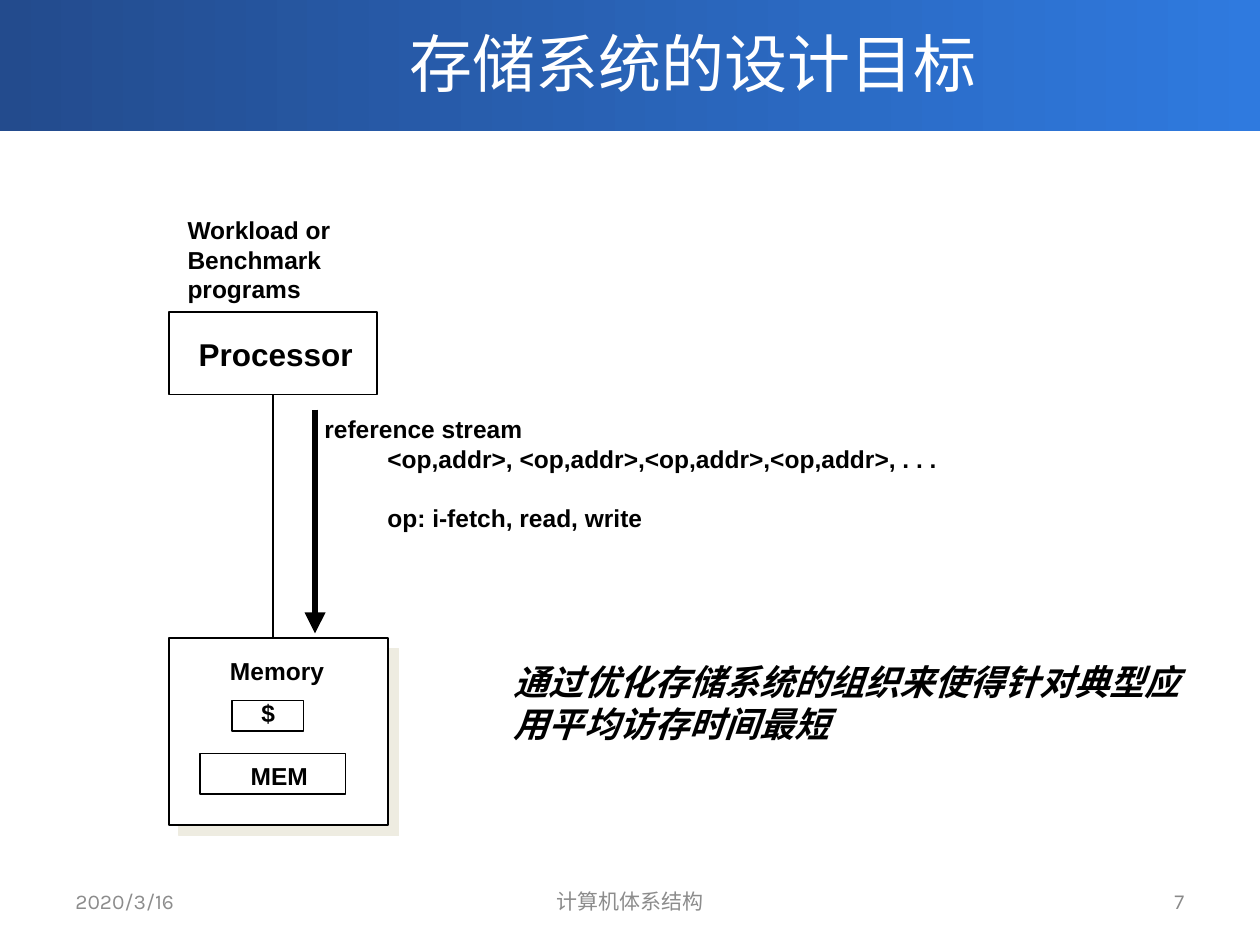
"""Build the slide on the design goals of a memory system."""
import pptx
import pptx.util
import pptx.dml.color
import pptx.enum.shapes
import pptx.enum.text
import pptx.oxml
import pptx.oxml.ns

Pt = pptx.util.Pt
SHAPES = pptx.enum.shapes.MSO_SHAPE
ALIGN = pptx.enum.text.PP_ALIGN
ANCHOR = pptx.enum.text.MSO_ANCHOR
AUTO = pptx.enum.text.MSO_AUTO_SIZE
CJK = "Noto Sans CJK SC"
COLORS = {"ink": "000000", "paper": "FFFFFF", "band_left": "234B8D", "band_right": "2F7ADF",
          "shade": "EEECE1", "footer": "8C8C8C", "number": "898989"}

BOXES = {
    "processor": (96.5, 178.5, 119, 47),
    "memory": (96.5, 364.5, 125.3, 107),
    "cache": (132.5, 400.3, 41, 17.3),
    "main": (114.5, 430.6, 83, 23),
}
LABELS = [
    (["Processor"], (106.5, 187.8, 103, 29), {"size": 18}),
    (["$"], (142.3, 395.3, 22.5, 24.2), {}),
    (["MEM"], (136.2, 431.3, 47.5, 24.2), {}),
    (["Memory"], (124.3, 371.4, 68.4, 24.2), {}),
    (["Workload or", "Benchmark", "programs"], (100.1, 119.5, 96.5, 58), {}),
    (["reference stream", "<op,addr>, <op,addr>,<op,addr>,<op,addr>, . . .",
      "op: i-fetch, read, write"], (178.3, 233.3, 366, 75),
     {"indent": 36, "gaps": {2: 16.8}}),
    (["通过优化存储系统的组织来使得针对典型应用平均访存时间最短"], (286.6, 373.8, 404, 55.4),
     {"size": 20, "italic": True, "wrap": True}),
]
FRAME_TEXTS = [
    ("存储系统的设计目标", (72, 0, 648, 71.5),
     {"size": 36, "font": CJK, "color": "paper", "align": ALIGN.CENTER}),
    ("2020/3/16", (36, 500.5, 168, 28.8), {"align": ALIGN.LEFT}),
    ("计算机体系结构", (246, 500.5, 228, 28.8), {"align": ALIGN.CENTER}),
    ("7", (516, 500.5, 168, 28.8), {"font": "Calibri", "color": "number", "align": ALIGN.RIGHT}),
]


def rgb(name):
    return pptx.dml.color.RGBColor.from_string(COLORS[name])


def add_xml(parent, xml):
    namespace = pptx.oxml.ns.nsdecls("a")
    element = pptx.oxml.parse_xml(xml.replace(">", f" {namespace}>", 1)
                                  if "/>" not in xml.split(">")[0] + ">"
                                  else xml.replace("/>", f" {namespace}/>", 1))
    parent.append(element)


def add_text(slide, lines, place, size=14, font="Arial", color="ink", bold=True, italic=False,
             align=ALIGN.LEFT, wrap=False, middle=False, leading=1.2, indent=0, gaps=None):
    box = slide.shapes.add_textbox(*map(Pt, place))
    frame = box.text_frame
    frame.word_wrap = wrap
    frame.auto_size = AUTO.NONE if middle else AUTO.SHAPE_TO_FIT_TEXT
    frame.vertical_anchor = ANCHOR.MIDDLE if middle else ANCHOR.TOP
    for index, line in enumerate(lines):
        paragraph = frame.paragraphs[0] if index == 0 else frame.add_paragraph()
        paragraph.alignment = align
        if leading:
            paragraph.line_spacing = Pt(round(size * leading, 1))
        if index and indent:
            paragraph.level = 1
            paragraph._p.get_or_add_pPr().set("marL", str(Pt(indent)))
        if gaps and index in gaps:
            paragraph.space_before = Pt(gaps[index])
        run = paragraph.add_run()
        run.text = line
        run.font.size, run.font.name = Pt(size), font
        run.font.bold, run.font.italic = bold, italic
        run.font.color.rgb = rgb(color)
        add_xml(run.font._element, f'<a:ea typeface="{CJK}"/>')


def add_box(slide, place):
    box = slide.shapes.add_shape(SHAPES.RECTANGLE, *map(Pt, place))
    box.shadow.inherit = False
    box.fill.solid()
    box.fill.fore_color.rgb = rgb("paper")
    box.line.color.rgb = rgb("ink")
    box.line.width = Pt(1)
    return box


def add_line(slide, start, end, width):
    line = slide.shapes.add_connector(pptx.enum.shapes.MSO_CONNECTOR.STRAIGHT,
                                      *map(Pt, start + end))
    line.line.color.rgb = rgb("ink")
    line.line.width = Pt(width)
    add_xml(line._element.spPr, "<a:effectLst/>")
    return line


def add_band(slide):
    band = slide.shapes.add_shape(SHAPES.RECTANGLE, 0, 0, Pt(720), Pt(75))
    band.shadow.inherit = False
    band.line.fill.background()
    band.fill.gradient()
    band.fill.gradient_angle = 0
    for stop, position, name in zip(band.fill.gradient_stops, (0, 1), ("band_left", "band_right")):
        stop.position = position
        stop.color.rgb = rgb(name)


def main():
    deck = pptx.Presentation()
    deck.slide_width, deck.slide_height = Pt(720), Pt(540)
    slide = deck.slides.add_slide(deck.slide_layouts[6])
    add_band(slide)

    boxes = {name: add_box(slide, place) for name, place in BOXES.items()}
    effects = boxes["memory"]._element.spPr.find(pptx.oxml.ns.qn("a:effectLst"))
    add_xml(effects, f'<a:outerShdw dist="{Pt(8.5)}" dir="2700000" algn="ctr" rotWithShape="0">'
                     f'<a:srgbClr val="{COLORS["shade"]}"/></a:outerShdw>')

    left, top, width, height = BOXES["processor"]
    bus_x = left + width / 2
    bus = add_line(slide, (bus_x, top + height), (bus_x, BOXES["memory"][1]), 1)
    bus.begin_connect(boxes["processor"], 2)
    stream = add_line(slide, (180, 234), (180, 362), 4)
    add_xml(stream.line._get_or_add_ln(), '<a:tailEnd type="triangle"/>')

    for lines, place, style in LABELS:
        add_text(slide, lines, place, **style)
    for text, place, style in FRAME_TEXTS:
        frame_style = {"size": 12, "font": "Karla", "color": "footer", "bold": False,
                       "wrap": True, "middle": True, "leading": None}
        add_text(slide, [text], place, **{**frame_style, **style})
    deck.save("out.pptx")


if __name__ == "__main__":
    main()
